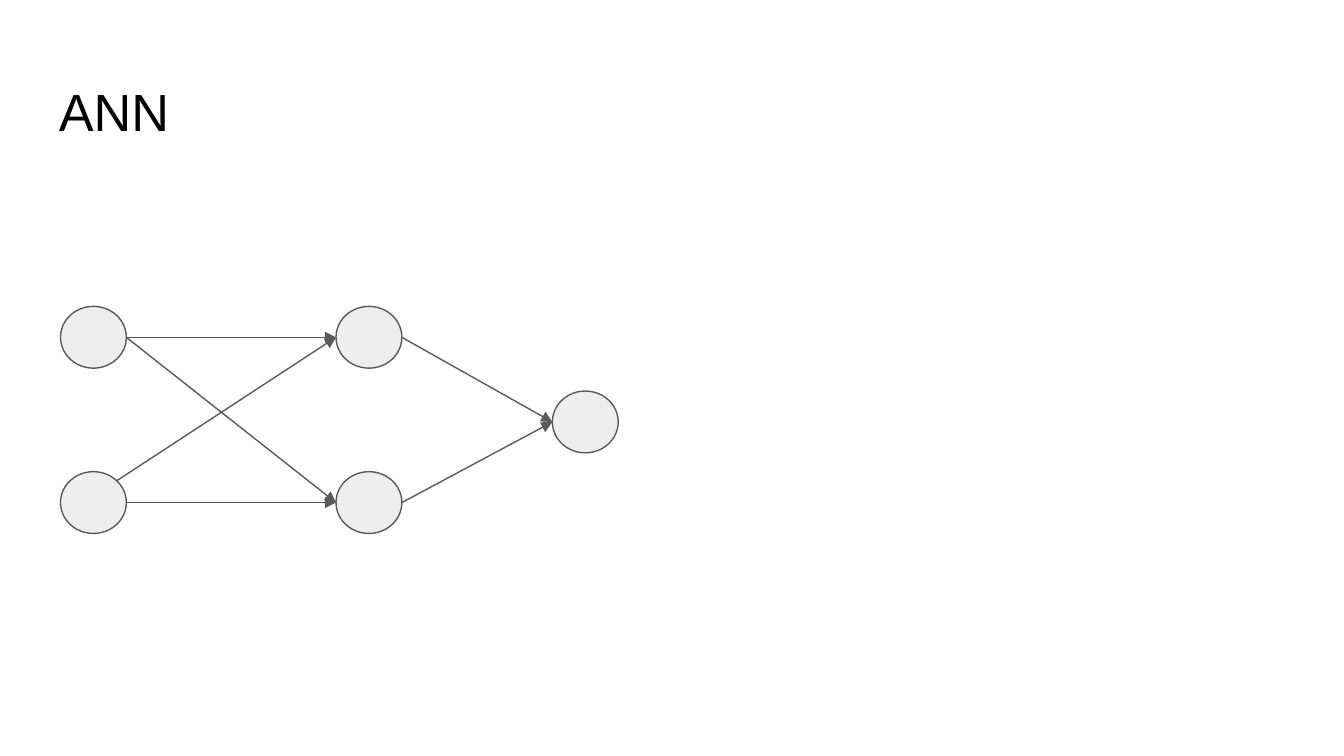
from pptx import Presentation
from pptx.dml.color import RGBColor
from pptx.enum.shapes import MSO_CONNECTOR, MSO_SHAPE
from pptx.enum.text import MSO_ANCHOR
from pptx.oxml.ns import qn
from pptx.util import Inches, Pt
from lxml.etree import SubElement

WIDE = 10
HIGH = WIDE * 9 / 16
HUES = {"text": "000000", "fill": "EEEEEE", "line": "595959"}
COLS = (0.45, 2.5, 4.11)
ROWS = (2.28, 2.91, 3.51)
NODE_W, NODE_H = 0.49, 0.46
NODES = ((0, 0), (0, 2), (1, 0), (1, 2), (2, 1))
LINKS = (
    ((0, 0), (1, 0), False),
    ((0, 2), (1, 2), False),
    ((1, 2), (2, 1), False),
    ((1, 0), (2, 1), False),
    ((0, 2), (1, 0), True),
    ((0, 0), (1, 2), False),
)


def hue(name):
    return RGBColor.from_string(HUES[name])


def apply(item, values):
    for key, value in values.items():
        setattr(item, key, value)


def draw_line(line):
    line.color.rgb = hue("line")
    line.width = Pt(0.75)


def add_title(slide, text):
    box = slide.shapes.add_textbox(
        *map(Inches, (0.34, 0.49, WIDE - 2 * 0.34, 0.63)))
    frame = box.text_frame
    sides = ("left", "top", "right", "bottom")
    apply(frame, {f"margin_{side}": Inches(0.1) for side in sides})
    apply(frame, {"word_wrap": True, "vertical_anchor": MSO_ANCHOR.TOP})
    run = frame.paragraphs[0].add_run()
    run.text = text
    apply(run.font, {"name": "Arial", "size": Pt(28)})
    run.font.color.rgb = hue("text")


def add_node(slide, col, row):
    node = slide.shapes.add_shape(
        MSO_SHAPE.OVAL,
        *map(Inches, (COLS[col], ROWS[row], NODE_W, NODE_H)))
    node.shadow.inherit = False
    node.fill.solid()
    node.fill.fore_color.rgb = hue("fill")
    draw_line(node.line)


def add_link(slide, start, end, corner):
    (col, row), (to_col, to_row) = start, end
    across, down = (0.85, 0.15) if corner else (1, 0.5)
    ends = (COLS[col] + across * NODE_W, ROWS[row] + down * NODE_H,
            COLS[to_col], ROWS[to_row] + NODE_H / 2)
    link = slide.shapes.add_connector(
        MSO_CONNECTOR.STRAIGHT, *map(Inches, ends))
    draw_line(link.line)
    props = link._element.spPr.find(qn("a:ln"))
    SubElement(props, qn("a:tailEnd"), type="triangle", w="med", len="med")
    SubElement(link._element.spPr, qn("a:effectLst"))


def main():
    deck = Presentation()
    apply(deck, {"slide_width": Inches(WIDE), "slide_height": Inches(HIGH)})
    slide = deck.slides.add_slide(deck.slide_layouts[6])
    add_title(slide, "ANN")
    for col, row in NODES:
        add_node(slide, col, row)
    for start, end, corner in LINKS:
        add_link(slide, start, end, corner)
    deck.save("out.pptx")


if __name__ == "__main__":
    main()
